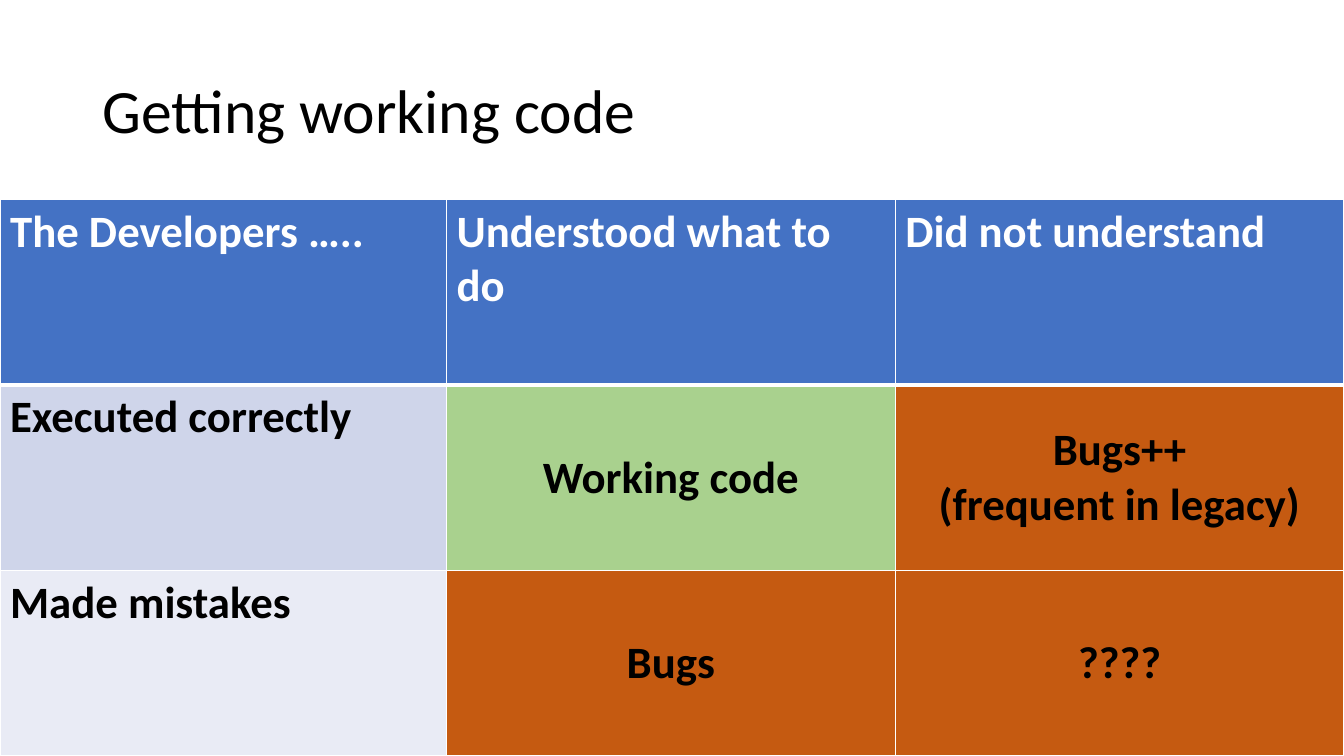
from dataclasses import dataclass

from lxml.etree import SubElement
from pptx import Presentation
from pptx.dml.color import RGBColor
from pptx.enum.text import MSO_ANCHOR, PP_ALIGN
from pptx.oxml.ns import qn
from pptx.util import Pt


@dataclass(frozen=True)
class Theme:
    """Colours, font and type sizes of the slide."""
    font: str = "Calibri"
    title_size: int = 44
    cell_size: int = 32
    black: str = "000000"
    white: str = "FFFFFF"
    header: str = "4472C4"
    band_dark: str = "CFD5EA"
    band_light: str = "E9EBF5"
    good: str = "A9D18E"
    bad: str = "C55A11"


@dataclass(frozen=True)
class Entry:
    """One table cell: its wording and fill."""
    text: str
    fill: str


T = Theme()
SLIDE_W, SLIDE_H = 960, 540
TABLE_TOP = 142.5
COL_WIDTHS = (319, 320.5, 320.5)
OUTCOMES = (
    (Entry("The Developers …..", T.header),
     Entry("Understood what to do", T.header),
     Entry("Did not understand", T.header)),
    (Entry("Executed correctly", T.band_dark),
     Entry("Working code", T.good),
     Entry("Bugs++\n(frequent in legacy)", T.bad)),
    (Entry("Made mistakes", T.band_light),
     Entry("Bugs", T.bad),
     Entry("????", T.bad)),
)


def write(tf, text: str, *, size: int, color: str = T.black, bold: bool = False,
          align=PP_ALIGN.LEFT, spacing: float = 1.0) -> None:
    """Fill a text frame with one formatted paragraph."""
    tf.word_wrap = True
    p = tf.paragraphs[0]
    p.text = text
    p.alignment = align
    p.line_spacing = spacing
    for r in p.runs:
        r.font.name = T.font
        r.font.size = Pt(size)
        r.font.bold = bold
        r.font.color.rgb = RGBColor.from_string(color)


def set_borders(cell, **widths: float) -> None:
    """Draw white cell borders, with widths in points keyed by L, R, T, B."""
    tc_pr = cell._tc.get_or_add_tcPr()
    for side, width in widths.items():
        ln = SubElement(tc_pr, qn(f"a:ln{side}"), w=str(Pt(width)))
        fill = SubElement(ln, qn("a:solidFill"))
        SubElement(fill, qn("a:srgbClr"), val=T.white)


def add_title(s, text: str) -> None:
    """Add the slide title."""
    sp = s.shapes.add_textbox(Pt(66), Pt(28.75), Pt(828), Pt(104.4))
    sp.text_frame.vertical_anchor = MSO_ANCHOR.MIDDLE
    write(sp.text_frame, text, size=T.title_size, spacing=0.9)


def add_outcomes(s, rows: tuple[tuple[Entry, ...], ...]) -> None:
    """Add the table of outcomes, with equal rows down to the slide's foot."""
    height = SLIDE_H - TABLE_TOP
    table = s.shapes.add_table(len(rows), len(COL_WIDTHS), Pt(0), Pt(TABLE_TOP),
                               Pt(SLIDE_W), Pt(height)).table
    for column, width in zip(table.columns, COL_WIDTHS):
        column.width = Pt(width)
    for i, entries in enumerate(rows):
        table.rows[i].height = Pt(height / len(rows))
        for j, entry in enumerate(entries):
            cell = table.cell(i, j)
            is_result = i > 0 and j > 0
            set_borders(cell, L=1, R=1, T=3 if i == 1 else 1, B=3 if i == 0 else 1)
            cell.fill.solid()
            cell.fill.fore_color.rgb = RGBColor.from_string(entry.fill)
            cell.vertical_anchor = MSO_ANCHOR.MIDDLE if is_result else MSO_ANCHOR.TOP
            write(cell.text_frame, entry.text, size=T.cell_size, bold=True,
                  color=T.black if i else T.white,
                  align=PP_ALIGN.CENTER if is_result else PP_ALIGN.LEFT)


def main() -> None:
    """Build and save the slide."""
    prs = Presentation()
    prs.slide_width, prs.slide_height = Pt(SLIDE_W), Pt(SLIDE_H)
    s = prs.slides.add_slide(prs.slide_layouts[6])
    add_title(s, "Getting working code")
    add_outcomes(s, OUTCOMES)
    prs.save("out.pptx")


main()
